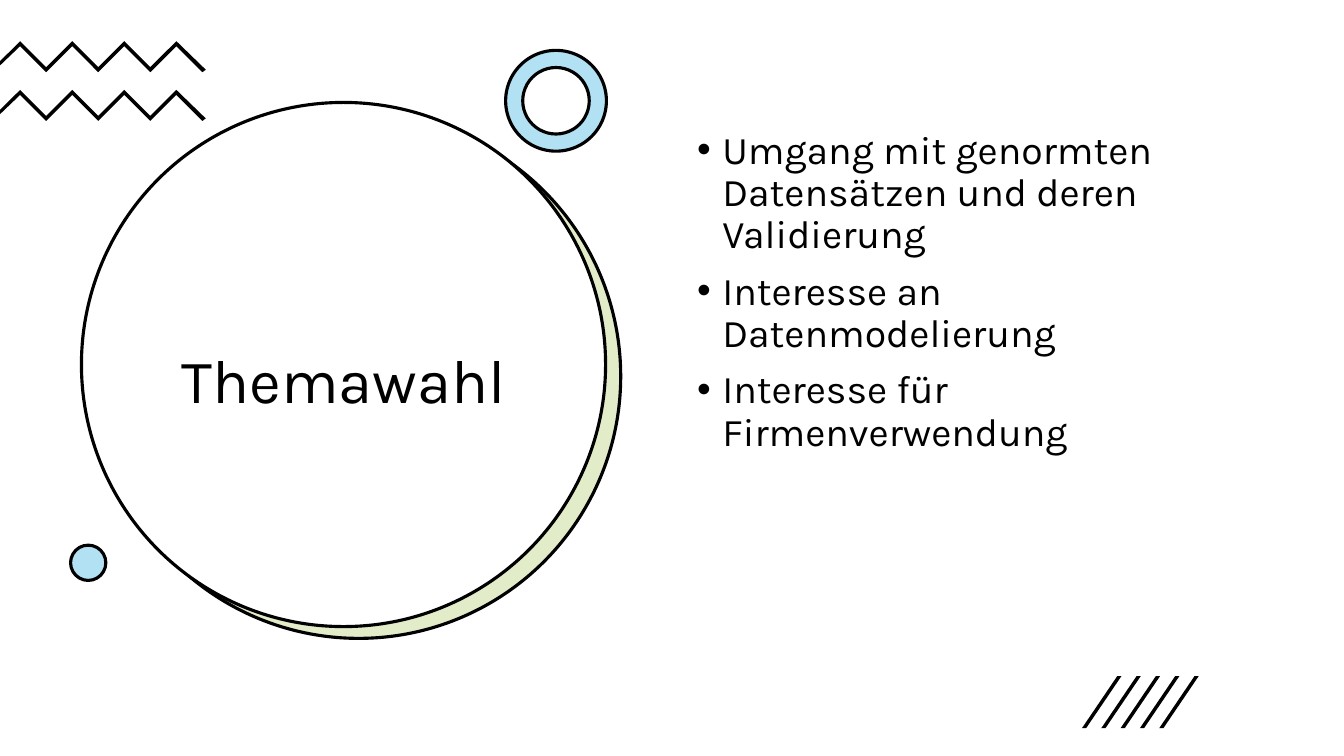
import pptx
import pptx.dml.color
import pptx.enum.shapes
import pptx.enum.text
import pptx.oxml.ns
import pptx.util
from lxml import etree

RGBColor = pptx.dml.color.RGBColor
Shape = pptx.enum.shapes.MSO_SHAPE
Align = pptx.enum.text.PP_ALIGN
Anchor = pptx.enum.text.MSO_ANCHOR
qn = pptx.oxml.ns.qn

BLACK = RGBColor(0x00, 0x00, 0x00)
WHITE = RGBColor(0xFF, 0xFF, 0xFF)
GREEN = RGBColor(0xA5, 0xC2, 0x49)
BLUE = RGBColor(0x00, 0x9D, 0xD9)

COLUMNS, ROWS = 16, 9
CELL = pptx.util.Inches(7.5 / ROWS)


def cells(count):
    return pptx.util.Emu(round(count * CELL))


def write(paragraph, text, size, font, color, align=Align.LEFT, before=0, bullet=None):
    paragraph.alignment = align
    paragraph.line_spacing = 0.9
    paragraph.space_before = pptx.util.Pt(before)
    run = paragraph.add_run()
    run.text = text
    run.font.size = pptx.util.Pt(size)
    run.font.name = font
    run.font.color.rgb = color
    if bullet:
        properties = paragraph._p.get_or_add_pPr()
        indent = pptx.util.Inches(0.25)
        properties.set("marL", str(indent))
        properties.set("indent", str(-indent))
        etree.SubElement(properties, qn("a:buFont"), typeface="Arial")
        etree.SubElement(properties, qn("a:buChar"), char=bullet)


class SlideBuilder:
    font = "Karla"
    line_width = pptx.util.Pt(2.25)

    def __init__(self, slide):
        self.slide = slide

    def paint(self, shape, fill, line=None, opacity=None):
        shape.shadow.inherit = False
        shape.fill.solid()
        shape.fill.fore_color.rgb = fill
        if opacity:
            color = shape.element.spPr.find(qn("a:solidFill")).find(qn("a:srgbClr"))
            etree.SubElement(color, qn("a:alpha"), val=str(opacity * 1000))
        if line is None:
            shape.line.fill.background()
        else:
            shape.line.color.rgb = line
            shape.line.width = self.line_width

    def preset(self, kind, left, top, width, height, fill, **style):
        shape = self.slide.shapes.add_shape(kind, *map(cells, (left, top, width, height)))
        self.paint(shape, fill, **style)
        return shape

    def round_shape(self, kind, left, top, size, fill, **style):
        return self.preset(kind, left, top, size, size, fill, **style)

    def tinted(self, kind, left, top, size, tint, ring=None):
        for fill, line, opacity in ((WHITE, WHITE, None), (tint, BLACK, 30)):
            shape = self.round_shape(kind, left, top, size, fill, line=line, opacity=opacity)
            if ring:
                shape.adjustments[0] = ring

    def outlines(self, polygons):
        group = self.slide.shapes.add_group_shape()
        for polygon in polygons:
            points = [(cells(x), cells(y)) for x, y in polygon]
            builder = group.shapes.build_freeform(*points[0])
            builder.add_line_segments(points[1:])
            self.paint(builder.convert_to_shape(), BLACK)

    def placeholder(self, index, left, top, width, height, texts, anchor, **style):
        shape = self.slide.placeholders[index]
        self.slide.shapes.element.append(shape.element)
        shape.left, shape.top, shape.width, shape.height = map(cells, (left, top, width, height))
        frame = shape.text_frame
        frame.word_wrap = True
        frame.auto_size = pptx.enum.text.MSO_AUTO_SIZE.NONE
        frame.vertical_anchor = anchor
        for number, text in enumerate(texts):
            paragraph = frame.add_paragraph() if number else frame.paragraphs[0]
            write(paragraph, text, font=self.font, color=BLACK, **style)


def zigzag(top):
    peak, half, height, thickness = 0.24, 0.31, 0.31, 0.06
    teeth = [(peak + half * step, top + height * (step % 2)) for step in range(7)]
    lower = [(x, y + thickness) for x, y in reversed(teeth)]
    ends = [(2.45, top + 0.34), (2.41, top + 0.37)]
    return teeth + ends + lower + [(0, top + 0.29), (0, top + 0.24)]


def slash(left):
    top, bottom, foot, slant = 8.05, 8.67, 0.05, 0.42
    return [(left + foot, bottom), (left, bottom), (left + slant, top), (left + slant + foot, top)]


def main():
    presentation = pptx.Presentation()
    presentation.slide_width = cells(COLUMNS)
    presentation.slide_height = cells(ROWS)
    slide = presentation.slides.add_slide(presentation.slide_layouts[1])
    slide.background.fill.solid()
    slide.background.fill.fore_color.rgb = BLACK

    builder = SlideBuilder(slide)
    builder.preset(Shape.RECTANGLE, 0, 0, COLUMNS, ROWS, WHITE)
    builder.round_shape(Shape.OVAL, 1.16, 1.37, 6.24, WHITE)
    builder.round_shape(Shape.OVAL, 1.15, 1.36, 6.24, GREEN, line=BLACK, opacity=30)
    builder.round_shape(Shape.OVAL, 0.97, 1.22, 6.24, WHITE, line=BLACK)
    builder.placeholder(0, 1.45, 2.46, 5.29, 4.22, ["Themawahl"], Anchor.MIDDLE,
                        size=44, align=Align.CENTER)
    builder.outlines(zigzag(0.49 + 0.58 * row) for row in range(2))
    builder.tinted(Shape.DONUT, 6.02, 0.6, 1.2, BLUE, ring=0.17)
    builder.tinted(Shape.OVAL, 0.84, 6.49, 0.42, BLUE)
    reasons = [
        "Umgang mit genormten Datensätzen und deren Validierung",
        "Interesse an Datenmodelierung",
        "Interesse für Firmenverwendung",
    ]
    builder.placeholder(1, 8.18, 1.49, 6.85, 5.71, reasons, Anchor.TOP,
                        size=28, before=10, bullet="•")
    builder.outlines(slash(12.88 + 0.23 * number) for number in range(5))
    presentation.save("out.pptx")


if __name__ == "__main__":
    main()
